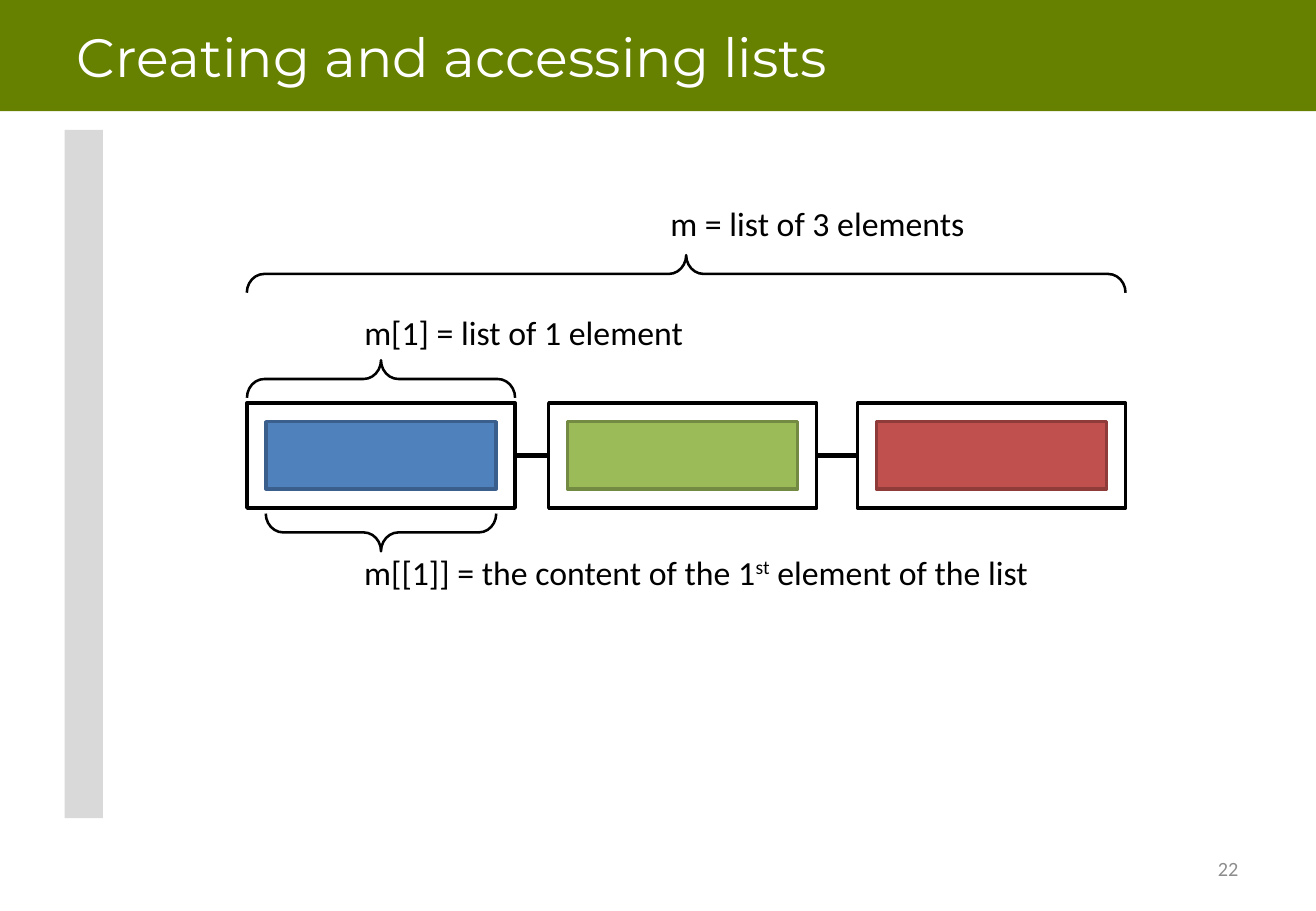
from dataclasses import dataclass

from lxml import etree
from pptx import Presentation
from pptx.dml.color import RGBColor
from pptx.enum import shapes, text
from pptx.oxml.ns import qn
from pptx.util import Inches, Pt

COLUMNS, ROWS = 65, 45
WIDTH, HEIGHT = Inches(10.83), Inches(7.5)


@dataclass(frozen=True)
class Theme:
    """Colours, fonts and sizes of the slide."""
    band: str = "668100"
    rail: str = "D9D9D9"
    paper: str = "FFFFFF"
    ink: str = "000000"
    muted: str = "8C8C8C"
    contents: tuple = (("4F81BD", "3A5F8C"), ("9BBB59", "738A42"), ("C0504D", "8E3B39"))
    heading_font: str = "Montserrat"
    body_font: str = "Calibri"
    heading_size: int = 32
    label_size: int = 20
    number_size: int = 12
    box_line: float = 2
    link_line: float = 3
    brace_line: float = 1.5


THEME = Theme()


def place(*cells):
    """Turn alternating column and row counts into lengths."""
    units = (WIDTH / COLUMNS, HEIGHT / ROWS)
    return [round(count * units[i % 2]) for i, count in enumerate(cells)]


def stroke(line, color, width):
    """Give a line its colour and width."""
    line.color.rgb = RGBColor.from_string(color)
    line.width = Pt(width)


def add_block(slide, cells, fill, edge=None):
    """Draw a filled rectangle, outlined if an edge colour is given."""
    block = slide.shapes.add_shape(shapes.MSO_SHAPE.RECTANGLE, *place(*cells))
    block.shadow.inherit = False
    block.fill.solid()
    block.fill.fore_color.rgb = RGBColor.from_string(fill)
    if edge:
        stroke(block.line, edge, THEME.box_line)
    else:
        block.line.fill.background()


def add_link(slide, start, end, row):
    """Draw the chain link between two list elements."""
    link = slide.shapes.add_connector(
        shapes.MSO_CONNECTOR.STRAIGHT, *place(start, row, end, row))
    stroke(link.line, THEME.ink, THEME.link_line)
    etree.SubElement(link._element.spPr, qn("a:effectLst"))


def add_brace(slide, left, span, row, rotation, depth=1.86):
    """Draw a horizontal brace centred on a row, pointing up or down."""
    center = left + span / 2
    brace = slide.shapes.add_shape(
        shapes.MSO_SHAPE.RIGHT_BRACE,
        *place(center - depth / 2, row - span / 2, depth, span))
    brace.rotation = rotation
    brace.adjustments[0] = 0.462
    brace.shadow.inherit = False
    brace.fill.background()
    stroke(brace.line, THEME.ink, THEME.brace_line)


def add_text(slide, cells, runs, font, size, color, frame_format, align=text.PP_ALIGN.LEFT):
    """Write one paragraph from (wording, baseline) runs."""
    frame = slide.shapes.add_textbox(*place(*cells)).text_frame
    for name, value in frame_format.items():
        setattr(frame, name, value)
    paragraph = frame.paragraphs[0]
    paragraph.alignment = align
    for wording, baseline in runs:
        run = paragraph.add_run()
        run.text = wording
        for name, value in {"name": font, "size": Pt(size)}.items():
            setattr(run.font, name, value)
        run.font.color.rgb = RGBColor.from_string(color)
        if baseline:
            run._r.get_or_add_rPr().set("baseline", str(baseline))


def add_label(slide, column, row, width, *runs):
    """Write a label beside the tip of a brace."""
    add_text(slide, (column, row, width, 2.64), runs, THEME.body_font,
             THEME.label_size, THEME.ink,
             {"word_wrap": False, "auto_size": text.MSO_AUTO_SIZE.SHAPE_TO_FIT_TEXT})


def add_frame(slide):
    """Draw the title band, side rail and slide number."""
    middle = {"word_wrap": True, "vertical_anchor": text.MSO_ANCHOR.MIDDLE}
    add_block(slide, (0, 0, COLUMNS, 5.5), THEME.band)
    add_block(slide, (3.2, 6.42, 1.88, 34), THEME.rail)
    add_text(slide, (3.2, 0, 58.5, 5.5), [("Creating and accessing lists", 0)],
             THEME.heading_font, THEME.heading_size, THEME.paper, middle)
    add_text(slide, (46.55, 41.7, 15.2, 2.4), [("22", 0)], THEME.body_font,
             THEME.number_size, THEME.muted, middle, text.PP_ALIGN.RIGHT)


def add_list_diagram(slide):
    """Draw the three-element list with its braces and labels."""
    lefts, top, width, height, inset = (12.2, 27.1, 42.35), 19.9, 13.24, 5.2, 0.93
    content_width = width - 2 * inset
    for left, (fill, edge) in zip(lefts, THEME.contents):
        add_block(slide, (left, top, width, height), THEME.paper, THEME.ink)
        add_block(slide, (left + inset, top + inset, content_width, 3.32), fill, edge)
    for left, following in zip(lefts, lefts[1:]):
        add_link(slide, left + width, following, top + height / 2)

    add_brace(slide, lefts[0], lefts[-1] + width - lefts[0], 13.53, 270)
    add_brace(slide, lefts[0], width, 18.72, 270)
    add_brace(slide, lefts[0] + inset, content_width, 26.3, 90)
    add_label(slide, 32.52, 9.72, 15.9, ("m = list of 3 elements", 0))
    add_label(slide, 17.4, 15.12, 17.1, ("m[1] = list of 1 element", 0))
    add_label(slide, 17.4, 26.94, 34.4, ("m[[1]] = the content of the 1", 0),
              ("st", 30000), (" element of the list", 0))


def main():
    """Build and save the slide."""
    deck = Presentation()
    deck.slide_width, deck.slide_height = WIDTH, HEIGHT
    slide = deck.slides.add_slide(deck.slide_layouts[6])
    add_frame(slide)
    add_list_diagram(slide)
    deck.save("out.pptx")


if __name__ == "__main__":
    main()
